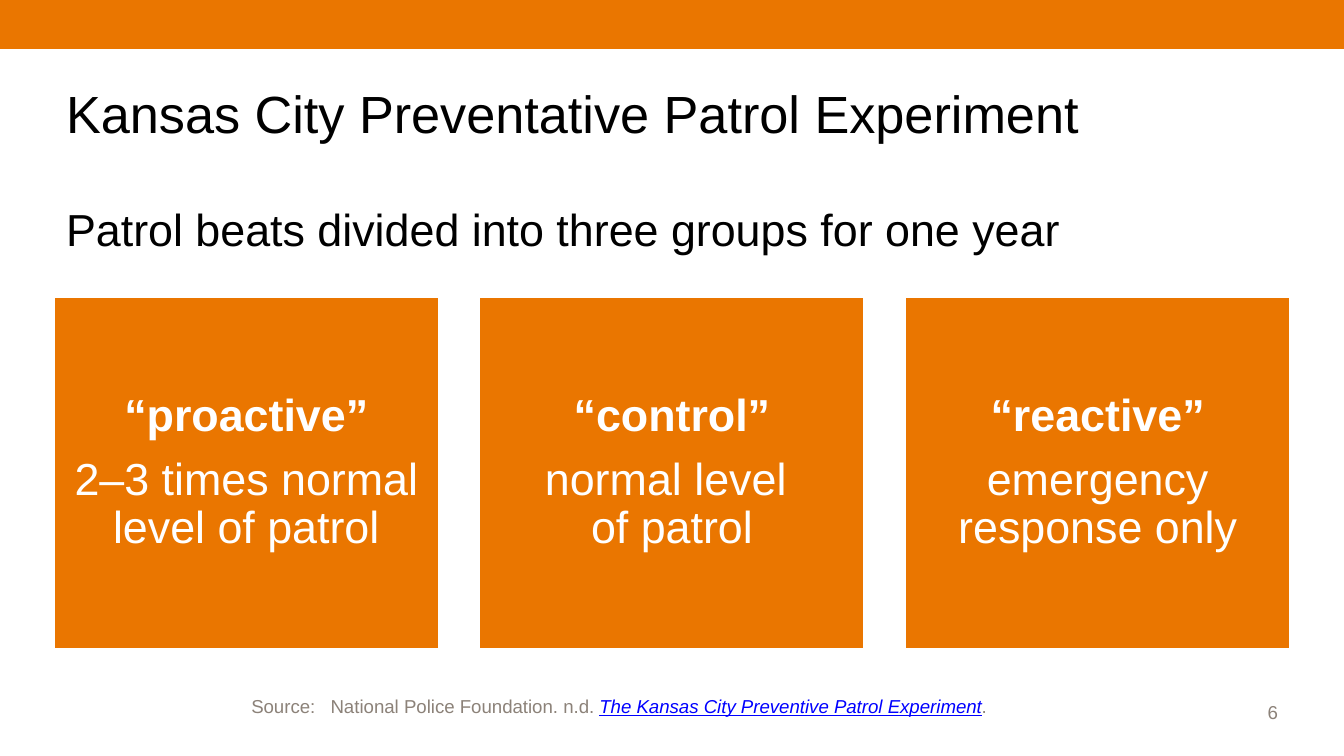
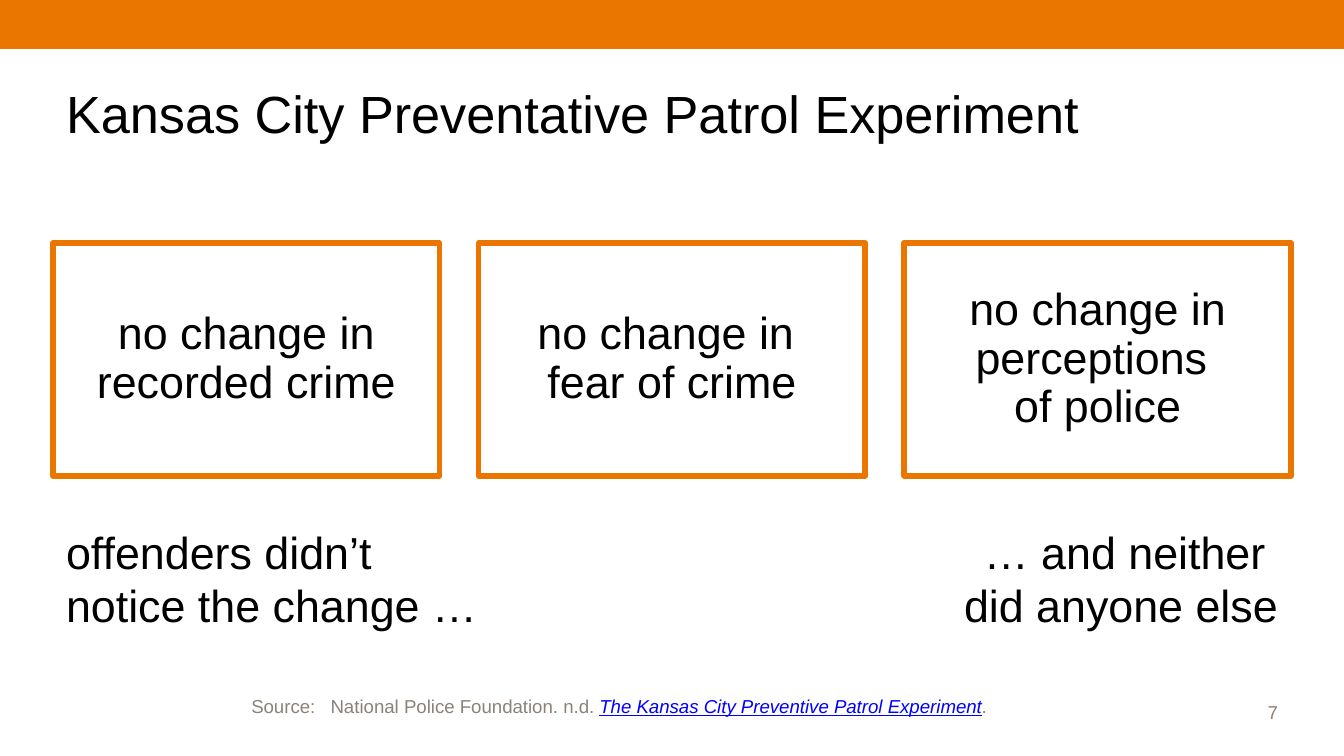
from lxml import etree
from pptx import Presentation
from pptx.dml.color import RGBColor
from pptx.enum import shapes, text
from pptx.oxml.ns import qn
from pptx.util import Pt

COLORS = {"orange": "EA7600", "white": "FFFFFF", "black": "000000",
          "grey": "8C8279", "link": "0000FF"}
FONT = "Arial"
WIDTH, HEIGHT = 720, 405
MARGIN = 28.35
CONTENT_W = WIDTH - 2 * MARGIN
CARD_W = 207.2
CARD_STEP = (CONTENT_W - CARD_W) / 2
FOOTER_TOP = 361.5
NUMBER_W = 56.7
LEFT, CENTER, RIGHT = text.PP_ALIGN.LEFT, text.PP_ALIGN.CENTER, text.PP_ALIGN.RIGHT
TOP, MIDDLE, BOTTOM = text.MSO_ANCHOR.TOP, text.MSO_ANCHOR.MIDDLE, text.MSO_ANCHOR.BOTTOM


def rgb(name):
    return RGBColor.from_string(COLORS[name])


class Deck:
    def __init__(self):
        self.prs = Presentation()
        self.prs.slide_width, self.prs.slide_height = Pt(WIDTH), Pt(HEIGHT)
        self.slide = None

    def new_slide(self, title, number):
        """Start a slide with its band, title, source line and number."""
        self.slide = self.prs.slides.add_slide(self.prs.slide_layouts[6])
        self.rect(0, 0, WIDTH, 26.2, "orange")
        self.label(title, MARGIN, 28.35, CONTENT_W, 70.6, size=28,
                   anchor=MIDDLE, spacing=Pt(27))
        self.label(str(number), WIDTH - MARGIN - NUMBER_W, 359.2, NUMBER_W, 31.9,
                   size=10, color="grey", align=RIGHT, anchor=BOTTOM)

    def rect(self, x, y, w, h, fill, line=None, line_w=0):
        box = self.slide.shapes.add_shape(
            shapes.MSO_SHAPE.RECTANGLE, Pt(x), Pt(y), Pt(w), Pt(h))
        box.shadow.inherit = False
        box.fill.solid()
        box.fill.fore_color.rgb = rgb(fill)
        if line:
            box.line.color.rgb = rgb(line)
            box.line.width = Pt(line_w)
            etree.SubElement(box.line._ln, qn("a:round"))
        else:
            box.line.fill.background()
        return box

    def frame(self, box, anchor, inset_x=7.2, inset_y=3.6):
        frame = box.text_frame
        frame.word_wrap = True
        frame.vertical_anchor = anchor
        frame.margin_left = frame.margin_right = Pt(inset_x)
        frame.margin_top = frame.margin_bottom = Pt(inset_y)
        return frame

    def style(self, paragraph, size, color, align=LEFT, bold=False, spacing=None, after=0):
        paragraph.alignment = align
        paragraph.line_spacing = spacing
        paragraph.space_after = Pt(after)
        font = paragraph.font
        font.name, font.size, font.bold = FONT, Pt(size), bold
        font.color.rgb = rgb(color)

    def label(self, words, x, y, w, h, size=24, color="black", align=LEFT,
              anchor=TOP, spacing=None, after=0):
        box = self.slide.shapes.add_textbox(Pt(x), Pt(y), Pt(w), Pt(h))
        paragraph = self.frame(box, anchor).paragraphs[0]
        paragraph.text = words
        self.style(paragraph, size, color, align, spacing=spacing, after=after)

    def cards(self, cards, top, height, fill, line, line_w, color):
        """Three equal cards; each is an optional heading and a body."""
        for i, (heading, body) in enumerate(cards):
            card = self.rect(MARGIN + i * CARD_STEP, top, CARD_W, height,
                             fill, line, line_w)
            frame = self.frame(card, MIDDLE, 7.2, 7.2)
            paragraph = frame.paragraphs[0]
            if heading:
                paragraph.text = heading
                self.style(paragraph, 24, color, CENTER, True, 0.9, 8.4)
                paragraph = frame.add_paragraph()
            paragraph.text = body
            self.style(paragraph, 24, color, CENTER, False, 0.9, 8.4)

    def source(self, lead, work):
        box = self.rect(MARGIN, FOOTER_TOP, CONTENT_W - NUMBER_W, 31.9, "white")
        fill_color = box._element.spPr.find(qn("a:solidFill"))[0]
        etree.SubElement(fill_color, qn("a:alpha"), val="85000")
        paragraph = self.frame(box, MIDDLE, 2.9, 2.9).paragraphs[0]
        hang = Pt(42.5)
        properties = paragraph._p.get_or_add_pPr()
        properties.set("marL", str(hang))
        properties.set("indent", str(-hang))
        for words, color, is_work in ((lead, "grey", False), (work, "link", True),
                                      (".", "grey", False)):
            run = paragraph.add_run()
            run.text = words
            run.font.name, run.font.size = FONT, Pt(10)
            run.font.color.rgb = rgb(color)
            run.font.italic = run.font.underline = is_work
        paragraph.line_spacing = 1.1
        paragraph.space_after = Pt(3)


TITLE = "Kansas City Preventative Patrol Experiment"
SOURCE = ("Source:\tNational Police Foundation. n.d. ",
          "The Kansas City Preventive Patrol Experiment")


def main():
    deck = Deck()

    # Design: the three groups of beats
    deck.new_slide(TITLE, 6)
    groups = [("“proactive”", "2–3 times normal level of patrol"),
              ("“control”", "normal level \vof patrol"),
              ("“reactive”", "emergency response only")]
    deck.cards(groups, 158.4, 190, "orange", "white", 2, "white")
    deck.source(*SOURCE)
    deck.label("Patrol beats divided into three groups for one year",
               MARGIN, 101.5, CONTENT_W, 50, spacing=1.1, after=3)

    # Results: nothing changed, nobody noticed
    deck.new_slide(TITLE, 7)
    results = [(None, "no change in recorded crime"),
               (None, "no change in \vfear of crime"),
               (None, "no change in perceptions \vof police")]
    deck.cards(results, 130.3, 124.6, "white", "orange", 3, "black")
    deck.source(*SOURCE)
    half = CONTENT_W / 2
    reactions = [("offenders didn’t \vnotice the change …", LEFT),
                 ("… and neither \vdid anyone else", RIGHT)]
    for i, (words, align) in enumerate(reactions):
        deck.label(words, MARGIN + i * half, 257.8, half, 103.7,
                   align=align, anchor=MIDDLE, after=3)

    deck.prs.save("out.pptx")


if __name__ == "__main__":
    main()
